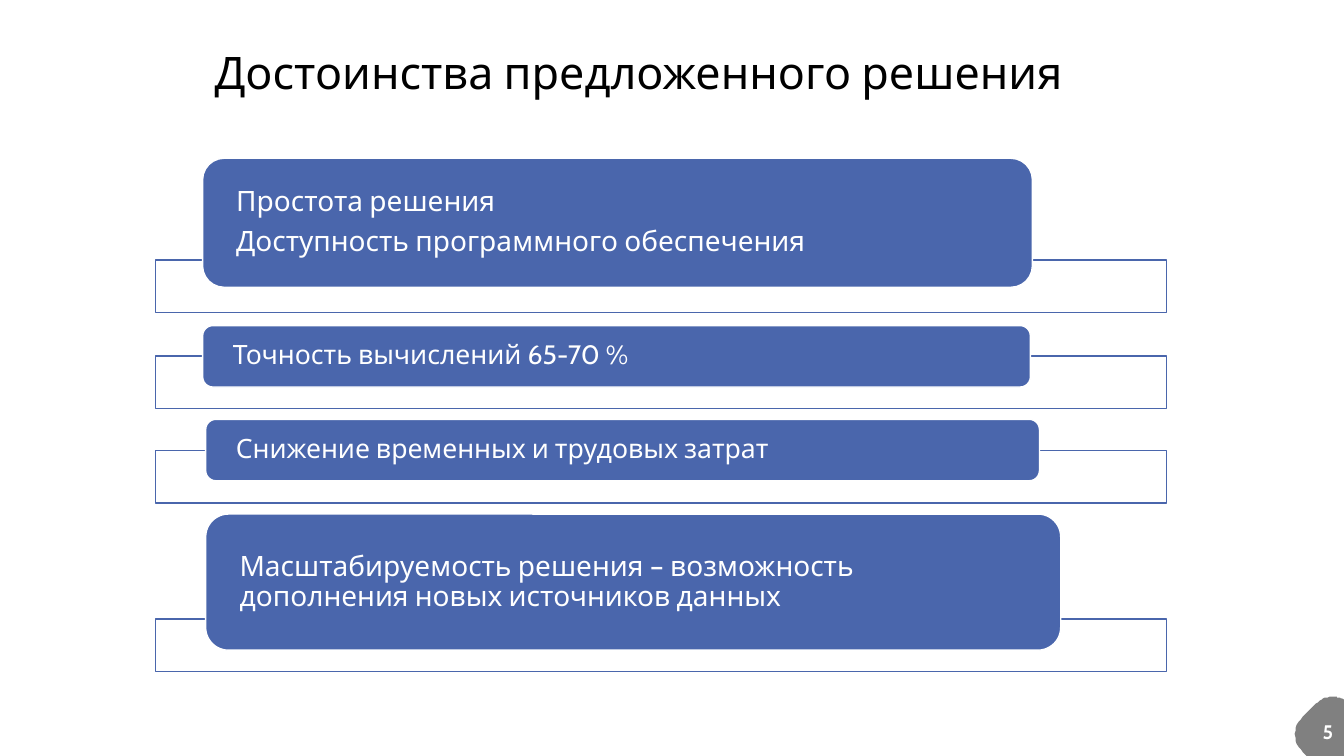
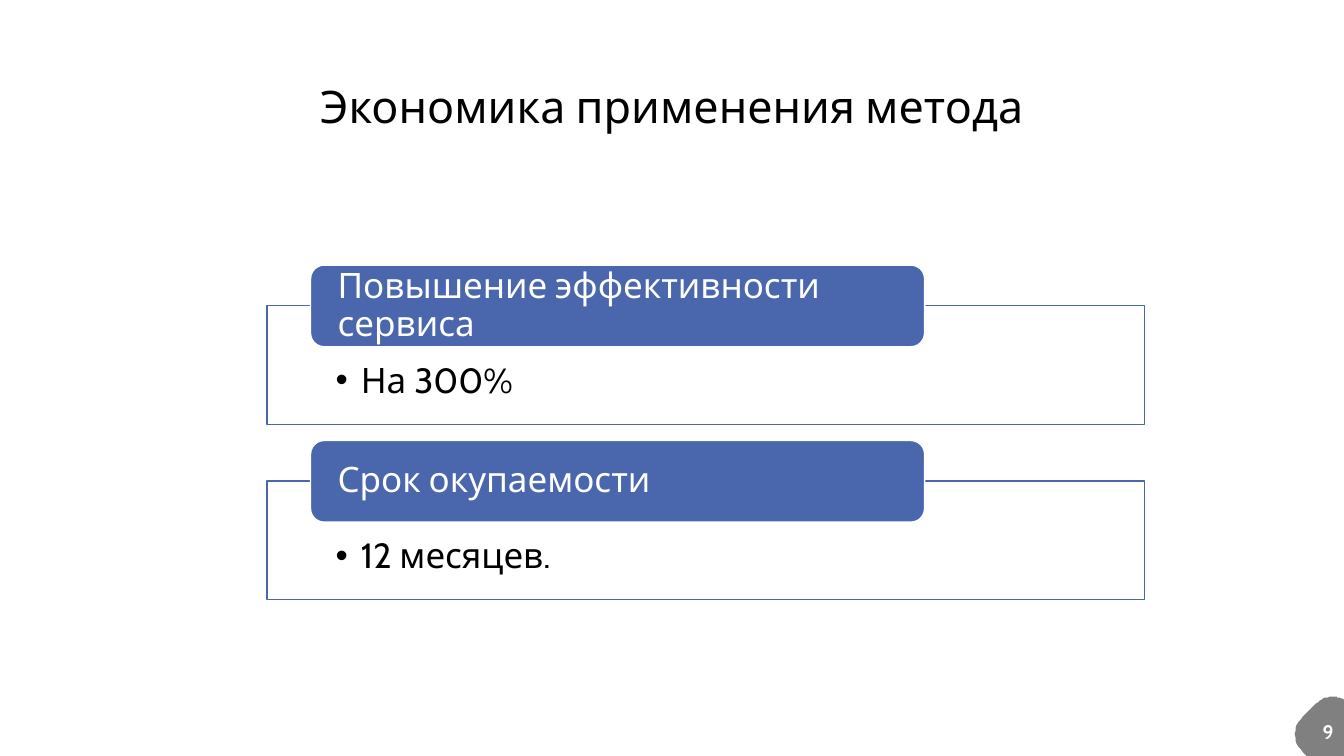
from dataclasses import dataclass

from lxml.etree import SubElement as Sub
from pptx import Presentation
from pptx.dml.color import RGBColor as Rgb
from pptx.enum.shapes import MSO_SHAPE as Kind
from pptx.enum.text import MSO_ANCHOR as Anchor, MSO_AUTO_SIZE as Auto, PP_ALIGN as Align
from pptx.oxml.ns import qn
from pptx.util import Pt

PX = 9144  # EMU in one px, 100 px to the inch
WIDE, HIGH = 1333, 750
FONT = "Cabin"
HEX = {"blue": "4A66AC", "white": "FFFFFF", "black": "000000", "gray": "808080"}


@dataclass(frozen=True)
class Box:
    left: int
    top: int
    wide: int
    high: int

    def emu(self) -> tuple[int, ...]:
        return tuple(v * PX for v in (self.left, self.top, self.wide, self.high))


@dataclass(frozen=True)
class Item:
    bar: Box
    pill: Box
    lines: tuple[str, ...]
    size: int
    pad: int
    note: str = ""


def color(key: str) -> Rgb:
    return Rgb.from_string(HEX[key])


def frame(shape, pads: tuple[int, ...], anchor=Anchor.TOP, wrap: bool = True):
    text = shape.text_frame
    text.word_wrap, text.auto_size = wrap, Auto.NONE
    text.vertical_anchor = anchor
    (text.margin_left, text.margin_top,
     text.margin_right, text.margin_bottom) = (p * PX for p in pads)
    return text


def style(text, size: int, ink: str, align=Align.LEFT, bold: bool = False) -> None:
    for para in text.paragraphs:
        para.alignment = align
        for run in para.runs:
            font = run.font
            font.name, font.size, font.bold = FONT, Pt(size), bold
            font.color.rgb = color(ink)


def space(text, after: float) -> None:
    for para in text.paragraphs:
        para.line_spacing, para.space_after = 0.9, Pt(after)


def block(slide, kind, box: Box, fill: str, line: str):
    shape = slide.shapes.add_shape(kind, *box.emu())
    shape.shadow.inherit = False
    shape.fill.solid()
    shape.fill.fore_color.rgb = color(fill)
    shape.line.color.rgb = color(line)
    shape.line.width = Pt(1)
    return shape


def bullet(para) -> None:
    props = para._p.get_or_add_pPr()
    props.set("marL", str(25 * PX))
    props.set("indent", str(-25 * PX))
    Sub(props, qn("a:buFont"), typeface="Arial")
    Sub(props, qn("a:buChar"), char="•")


def draw(slide, item: Item) -> None:
    # Outlined bar, with its note
    bar = block(slide, Kind.RECTANGLE, item.bar, "white", "blue")
    tint = bar.fill._xPr.find(qn("a:solidFill"))[0]
    Sub(tint, qn("a:alpha"), val="90000")
    if item.note:
        text = frame(bar, (68, 57, 68, 19))
        text.text = item.note
        bullet(text.paragraphs[0])
        space(text, item.size * 0.15)
        style(text, item.size, "black")
    # Filled pill
    pill = block(slide, Kind.ROUNDED_RECTANGLE, item.pill, "blue", "white")
    text = frame(pill, (item.pad, 0, item.pad, 0), Anchor.MIDDLE)
    text.text = "\n".join(item.lines)
    space(text, item.size * 0.35)
    style(text, item.size, "white")


def curve(*pts: tuple[int, int]) -> list[tuple[float, float]]:
    """Points along a cubic Bezier, without its start."""
    out = []
    for step in range(1, 13):
        t = step / 12
        mix = ((1 - t) ** 3, 3 * t * (1 - t) ** 2, 3 * t * t * (1 - t), t ** 3)
        out.append(tuple(sum(m * p[k] for m, p in zip(mix, pts)) for k in (0, 1)))
    return out


def badge(slide, num: int) -> None:
    # Corner tab, cut by the slide edges
    pts = [*curve((1322, 691), (1325, 691), (1328, 692), (1331, 693)),
           (WIDE, 694), (WIDE, HIGH), (1296, HIGH), (1292, 746),
           *curve((1292, 746), (1282, 736), (1282, 721), (1292, 711)), (1304, 699),
           *curve((1304, 699), (1309, 694), (1315, 691), (1322, 691))]
    path = slide.shapes.build_freeform(1322, 691, scale=PX)
    path.add_line_segments(pts, close=True)
    tab = path.convert_to_shape()
    tab.shadow.inherit = False
    tab.fill.solid()
    tab.fill.fore_color.rgb = color("gray")
    tab.line.fill.background()
    # Page number
    label = slide.shapes.add_textbox(*Box(1302, 709, 30, 34).emu())
    text = frame(label, (10, 5, 10, 5), wrap=False)
    text.text = str(num)
    style(text, 14, "white", bold=True)


def page(deck, name: str, box: Box, items: list[Item], num: int) -> None:
    slide = deck.slides.add_slide(deck.slide_layouts[5])
    title = slide.shapes.title
    title.left, title.top, title.width, title.height = box.emu()
    text = frame(title, (10, 5, 10, 5))
    text.text = name
    style(text, 32, "black", Align.CENTER)
    for item in items:
        draw(slide, item)
    badge(slide, num)


def main() -> None:
    deck = Presentation()
    deck.slide_width, deck.slide_height = WIDE * PX, HIGH * PX

    # Merits: bar top, pill, lines, size
    rows = [
        (258, Box(201, 157, 823, 128),
         ("Простота решения", "Доступность программного обеспечения"), 20),
        (353, Box(201, 323, 821, 61), ("Точность вычислений 65-70 %",), 19),
        (447, Box(204, 416, 827, 61), ("Снижение временных и трудовых затрат",), 19),
        (614, Box(204, 510, 848, 135),
         ("Масштабируемость решения – возможность дополнения новых источников данных",), 20),
    ]
    merits = [Item(Box(154, top, 1003, 52), pill, lines, size, 27)
              for top, pill, lines, size in rows]
    page(deck, "Достоинства предложенного решения", Box(64, 39, 1139, 118), merits, 5)

    # Gains: pill text and note, at an equal pitch
    pairs = [("Повышение эффективности сервиса", "На 300%"),
             ("Срок окупаемости", "12 месяцев.")]
    gains = [Item(Box(265, 303 + 174 * i, 870, 118), Box(308, 263 + 174 * i, 609, 81),
                  (head,), 25, 23, note)
             for i, (head, note) in enumerate(pairs)]
    page(deck, "Экономика применения метода", Box(0, 73, WIDE, 64), gains, 9)

    deck.save("out.pptx")


if __name__ == "__main__":
    main()
